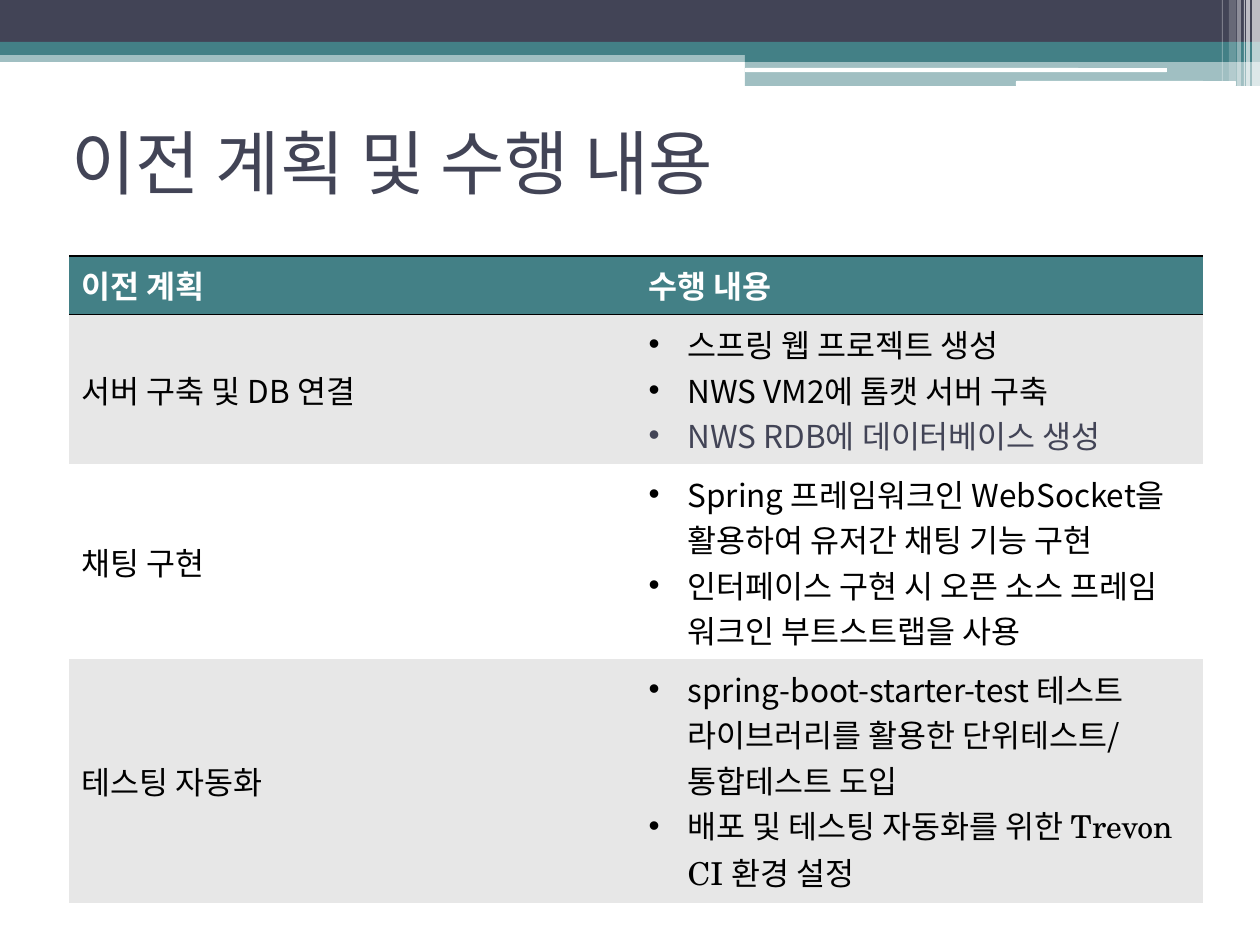
from typing import NamedTuple

from lxml.etree import SubElement
from pptx import Presentation
from pptx.dml.color import RGBColor
from pptx.enum.shapes import MSO_SHAPE as Shape
from pptx.enum.text import MSO_ANCHOR as Anchor, MSO_AUTO_SIZE as AutoSize, PP_ALIGN as Align
from pptx.oxml import parse_xml
from pptx.oxml.ns import nsdecls, qn
from pptx.util import Emu, Pt

PX = 914400 / 126
NAVY = RGBColor(0x42, 0x44, 0x56)
TEAL = RGBColor(0x43, 0x80, 0x86)
GRAY = RGBColor(0xE7, 0xE7, 0xE7)
WHITE = RGBColor(0xFF, 0xFF, 0xFF)
BLACK = RGBColor(0, 0, 0)
SANS, SERIF, TITLE_FONT = "Noto Sans CJK KR", "TeX Gyre Schola", "Lato"
NO_TABLE_STYLE = "{2D5ABB26-0587-4C30-8999-92F81FD0307C}"


class Band(NamedTuple):
    """One bar of the header decoration, in px."""
    x: int
    y: int
    w: int
    h: int
    color: RGBColor
    alpha: int = 100
    kind: Shape = Shape.RECTANGLE


class Item(NamedTuple):
    """One bullet line."""
    text: str
    color: RGBColor = BLACK
    font: str = SANS


class Row(NamedTuple):
    """One plan and what was done for it."""
    height: int
    plan: str
    items: list[Item]
    fill: RGBColor


BANDS = [
    Band(0, 50, 1260, 12, TEAL, 50),
    Band(0, 0, 1260, 43, NAVY),
    Band(0, 42, 1260, 13, TEAL),
    Band(745, 49, 515, 13, TEAL),
    Band(745, 62, 515, 24, TEAL, 50),
    Band(745, 68, 422, 4, WHITE, kind=Shape.ROUNDED_RECTANGLE),
    Band(1016, 81, 220, 5, WHITE, kind=Shape.ROUNDED_RECTANGLE),
    Band(1252, 0, 8, 86, WHITE, 65),
    Band(1246, 0, 4, 86, WHITE, 65),
    Band(1244, 0, 1, 86, WHITE, 60),
    Band(1237, 0, 4, 86, WHITE, 40),
    Band(1229, 0, 7, 81, WHITE, 20),
    Band(1222, 0, 1, 81, WHITE, 30),
]

HEADER_HEIGHT = 58
HEADERS = ["이전 계획", "수행 내용"]
ROWS = [
    Row(150, "서버 구축 및 DB 연결", [
        Item("스프링 웹 프로젝트 생성"),
        Item("NWS VM2에 톰캣 서버 구축"),
        Item("NWS RDB에 데이터베이스 생성", NAVY),
    ], GRAY),
    Row(195, "채팅 구현", [
        Item("Spring 프레임워크인 WebSocket을 활용하여 유저간 채팅 기능 구현"),
        Item("인터페이스 구현 시 오픈 소스 프레임 워크인 부트스트랩을 사용"),
    ], WHITE),
    Row(243, "테스팅 자동화", [
        Item("spring-boot-starter-test 테스트 라이브러리를 활용한 단위테스트/ 통합테스트 도입"),
        Item("배포 및 테스팅 자동화를 위한 Trevon CI 환경 설정", font=SERIF),
    ], GRAY),
]


def px(n: int) -> Emu:
    """Turn px into EMU."""
    return Emu(round(n * PX))


def draw_band(slide, band: Band) -> None:
    """Draw one decoration bar."""
    s = slide.shapes.add_shape(band.kind, *map(px, band[:4]))
    s.shadow.inherit = False
    s.line.fill.background()
    s.fill.solid()
    s.fill.fore_color.rgb = band.color
    if band.alpha < 100:
        color = s.fill._xPr.find(".//" + qn("a:srgbClr"))
        SubElement(color, qn("a:alpha"), val=str(band.alpha * 1000))


def style_runs(p, size: int, color: RGBColor, font: str = SANS, bold: bool = False) -> None:
    """Format every run of a paragraph, with the sans face for Korean."""
    for r in p.runs:
        r.font.size, r.font.bold, r.font.name = Pt(size), bold, font
        r.font.color.rgb = color
        r._r.get_or_add_rPr().find(qn("a:latin")).addnext(
            parse_xml(f'<a:ea {nsdecls("a")} typeface="{SANS}"/>'))


def add_bullet(p, color: RGBColor) -> None:
    """Give a paragraph a hanging round bullet."""
    pPr = p._p.get_or_add_pPr()
    pPr.set("marL", str(px(39)))
    pPr.set("indent", str(-px(39)))
    SubElement(SubElement(pPr, qn("a:buClr")), qn("a:srgbClr"), val=str(color))
    SubElement(pPr, qn("a:buFont"), typeface="Arial")
    SubElement(pPr, qn("a:buChar"), char="•")


def fill_cell(cell, color: RGBColor, anchor: Anchor) -> None:
    """Set the fill and vertical anchor of a cell."""
    cell.fill.solid()
    cell.fill.fore_color.rgb = color
    cell.vertical_anchor = anchor


def rule_cell(cell) -> None:
    """Draw black rules above and below a cell."""
    for i, side in enumerate(("lnT", "lnB")):
        cell._tc.get_or_add_tcPr().insert(i, parse_xml(
            f'<a:{side} {nsdecls("a")} w="12192"><a:solidFill>'
            f'<a:srgbClr val="{BLACK}"/></a:solidFill></a:{side}>'))


def draw_title(slide, text: str) -> None:
    """Place and format the title."""
    s = slide.shapes.title
    s.left, s.top, s.width, s.height = map(px, (59, 88, 1134, 147))
    tf = s.text_frame
    tf.text = text
    tf.auto_size = AutoSize.NONE
    tf.vertical_anchor = Anchor.MIDDLE
    p = tf.paragraphs[0]
    p.alignment = Align.LEFT
    style_runs(p, 40, NAVY, TITLE_FONT)


def draw_table(slide, rows: list[Row]) -> None:
    """Draw the table of plans and results."""
    heights = [HEADER_HEIGHT, *(row.height for row in rows)]
    frame = slide.shapes.add_table(
        len(heights), 2, *map(px, (69, 256, 1134, sum(heights))))
    table = frame.table
    table._tbl.tblPr.find(qn("a:tableStyleId")).text = NO_TABLE_STYLE
    for table_row, height in zip(table.rows, heights):
        table_row.height = px(height)
    for col, text in enumerate(HEADERS):
        cell = table.cell(0, col)
        cell.text_frame.text = text
        style_runs(cell.text_frame.paragraphs[0], 18, WHITE, bold=True)
        fill_cell(cell, TEAL, Anchor.TOP)
        rule_cell(cell)
    for i, row in enumerate(rows, 1):
        plan, result = table.cell(i, 0), table.cell(i, 1)
        plan.text_frame.text = row.plan
        style_runs(plan.text_frame.paragraphs[0], 18, BLACK)
        fill_cell(plan, row.fill, Anchor.MIDDLE)
        result.text_frame.text = "\n".join(item.text for item in row.items)
        for p, item in zip(result.text_frame.paragraphs, row.items):
            add_bullet(p, item.color)
            style_runs(p, 18, item.color, item.font)
        fill_cell(result, row.fill, Anchor.MIDDLE if i == 1 else Anchor.TOP)


def main() -> None:
    """Build the slide."""
    prs = Presentation()
    prs.slide_width, prs.slide_height = px(1260), px(945)
    slide = prs.slides.add_slide(prs.slide_layouts[5])
    for band in BANDS:
        draw_band(slide, band)
    draw_title(slide, "이전 계획 및 수행 내용")
    draw_table(slide, ROWS)
    prs.save("out.pptx")


if __name__ == "__main__":
    main()
